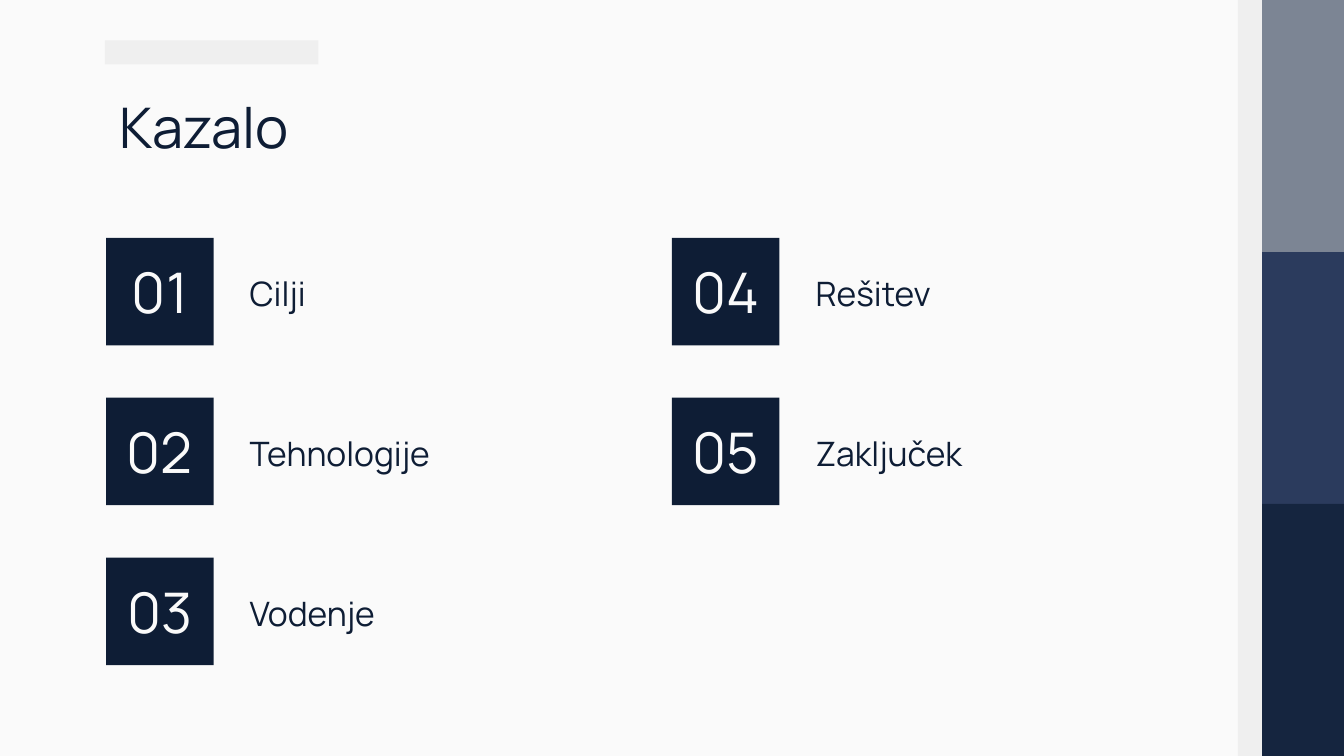
import pptx
import pptx.dml.color
import pptx.enum.shapes
import pptx.enum.text
import pptx.util

Inches = pptx.util.Inches
Align = pptx.enum.text.PP_ALIGN
Anchor = pptx.enum.text.MSO_ANCHOR

FONT = "Manrope"
COLORS = {
    "paper": "FAFAFA",
    "ink": "0E1D35",
    "pale": "EFEFEF",
    "grey": "7C8594",
    "blue": "2B3B5D",
    "navy": "15253F",
}
WIDTH = 10
HEIGHT = WIDTH * 9 / 16
SECTIONS = ["Cilji", "Tehnologije", "Vodenje", "Rešitev", "Zaključek"]
ROWS = 3
LEFT, TOP = 0.79, 1.77
COLUMN_STEP, ROW_STEP = 4.21, 1.19
TILE = 0.8


def rgb(name):
    return pptx.dml.color.RGBColor.from_string(COLORS[name])


def write(box, text, size, color, align=Align.LEFT, anchor=Anchor.TOP):
    frame = box.text_frame
    frame.text = text
    frame.word_wrap = True
    frame.auto_size = pptx.enum.text.MSO_AUTO_SIZE.NONE
    frame.vertical_anchor = anchor
    frame.margin_left = frame.margin_right = Inches(0.1)
    frame.margin_top = frame.margin_bottom = Inches(0.1)
    para = frame.paragraphs[0]
    para.alignment = align
    para.font.name = FONT
    para.font.size = pptx.util.Pt(size)
    para.font.color.rgb = rgb(color)


def add_block(page, left, top, width, height, color):
    block = page.shapes.add_shape(
        pptx.enum.shapes.MSO_SHAPE.RECTANGLE,
        Inches(left), Inches(top), Inches(width), Inches(height))
    block.shadow.inherit = False
    block.fill.solid()
    block.fill.fore_color.rgb = rgb(color)
    block.line.fill.background()
    return block


def add_side_band(page):
    left, height = 9.39, HEIGHT / 3
    for index, color in enumerate(["grey", "blue", "navy"]):
        add_block(page, left, index * height, WIDTH - left, height, color)
    add_block(page, left - 0.18, 0, 0.18, HEIGHT, "pale")


def add_title(page, text):
    add_block(page, 0.78, 0.3, 1.59, 0.18, "pale")
    title = page.shapes.title
    title.left, title.top = Inches(LEFT), Inches(0.59)
    title.width, title.height = Inches(8.43), Inches(0.63)
    write(title, text, 30, "ink")


def add_section(page, index, name):
    """Add a numbered tile and its label, filling the grid column by column."""
    column, row = divmod(index, ROWS)
    left = LEFT + column * COLUMN_STEP
    top = TOP + row * ROW_STEP
    tile = add_block(page, left, top, TILE, TILE, "ink")
    write(tile, f"{index + 1:02}", 30, "paper", Align.CENTER, Anchor.MIDDLE)
    label = page.shapes.add_textbox(
        Inches(left + 0.97), Inches(top + 0.16), Inches(2.77), Inches(0.48))
    write(label, name, 18, "ink")


def main():
    deck = pptx.Presentation()
    deck.slide_width, deck.slide_height = Inches(WIDTH), Inches(HEIGHT)
    page = deck.slides.add_slide(deck.slide_layouts.get_by_name("Title Only"))
    page.background.fill.solid()
    page.background.fill.fore_color.rgb = rgb("paper")
    add_side_band(page)
    add_title(page, "Kazalo")
    for index, name in enumerate(SECTIONS):
        add_section(page, index, name)
    deck.save("out.pptx")


if __name__ == "__main__":
    main()
